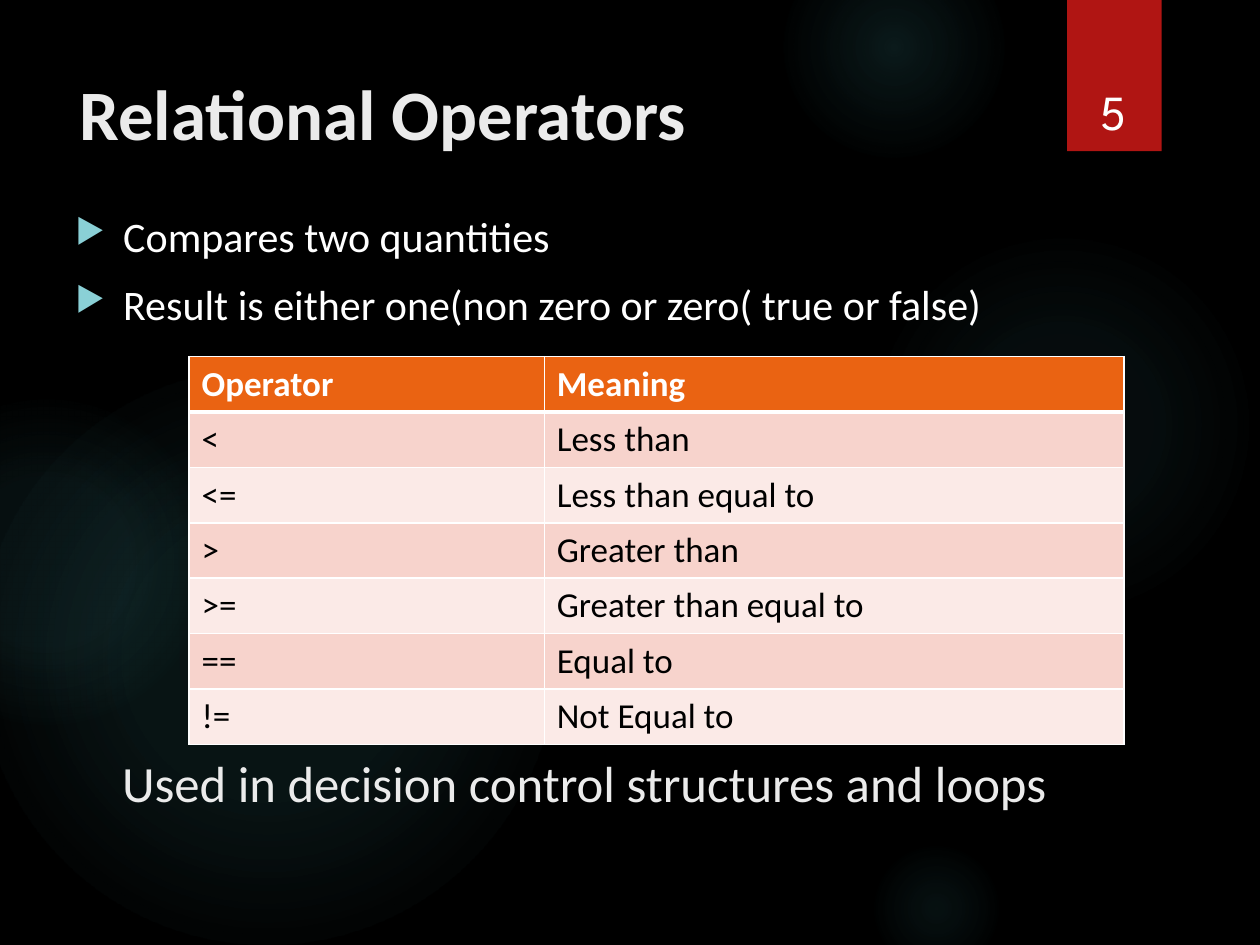
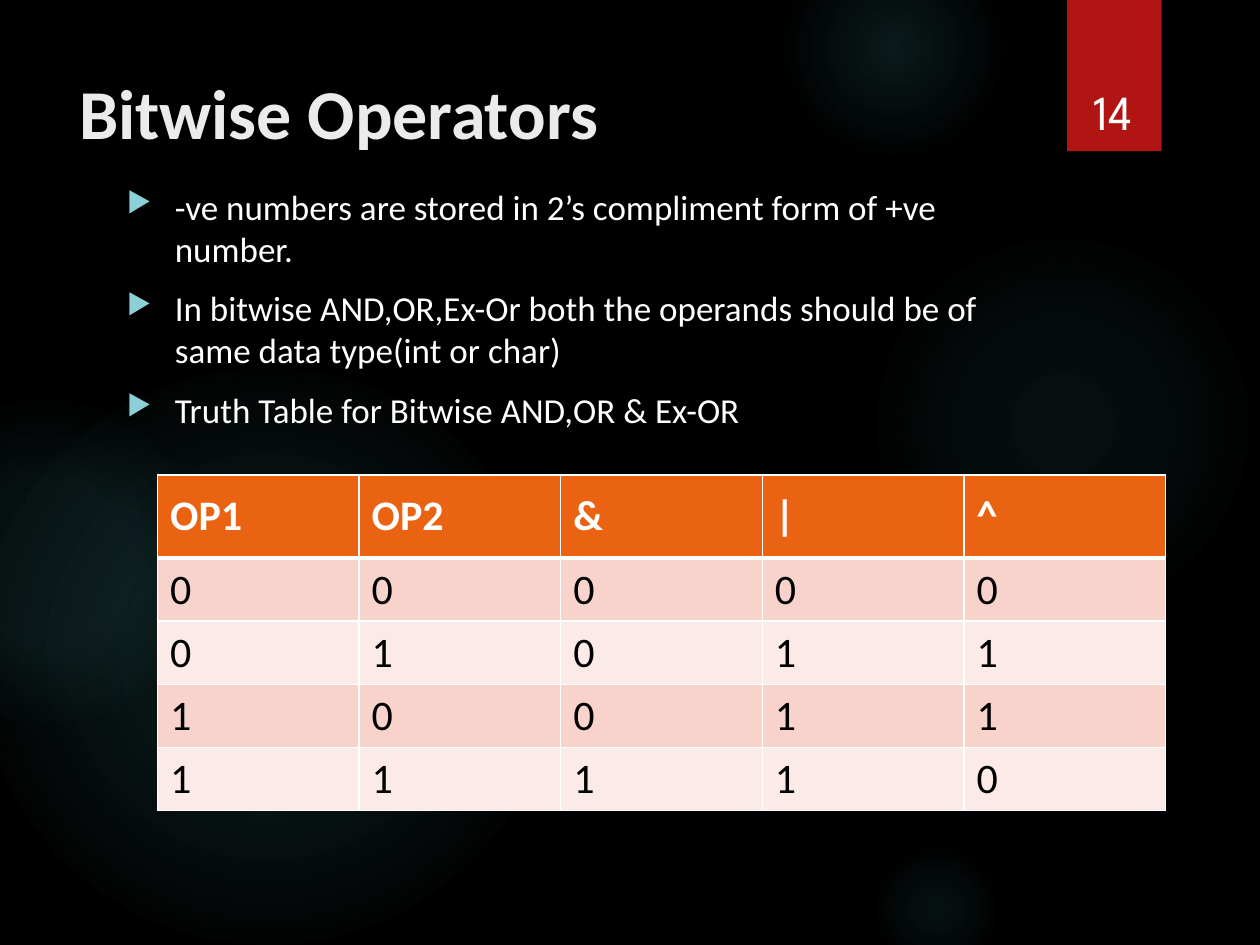
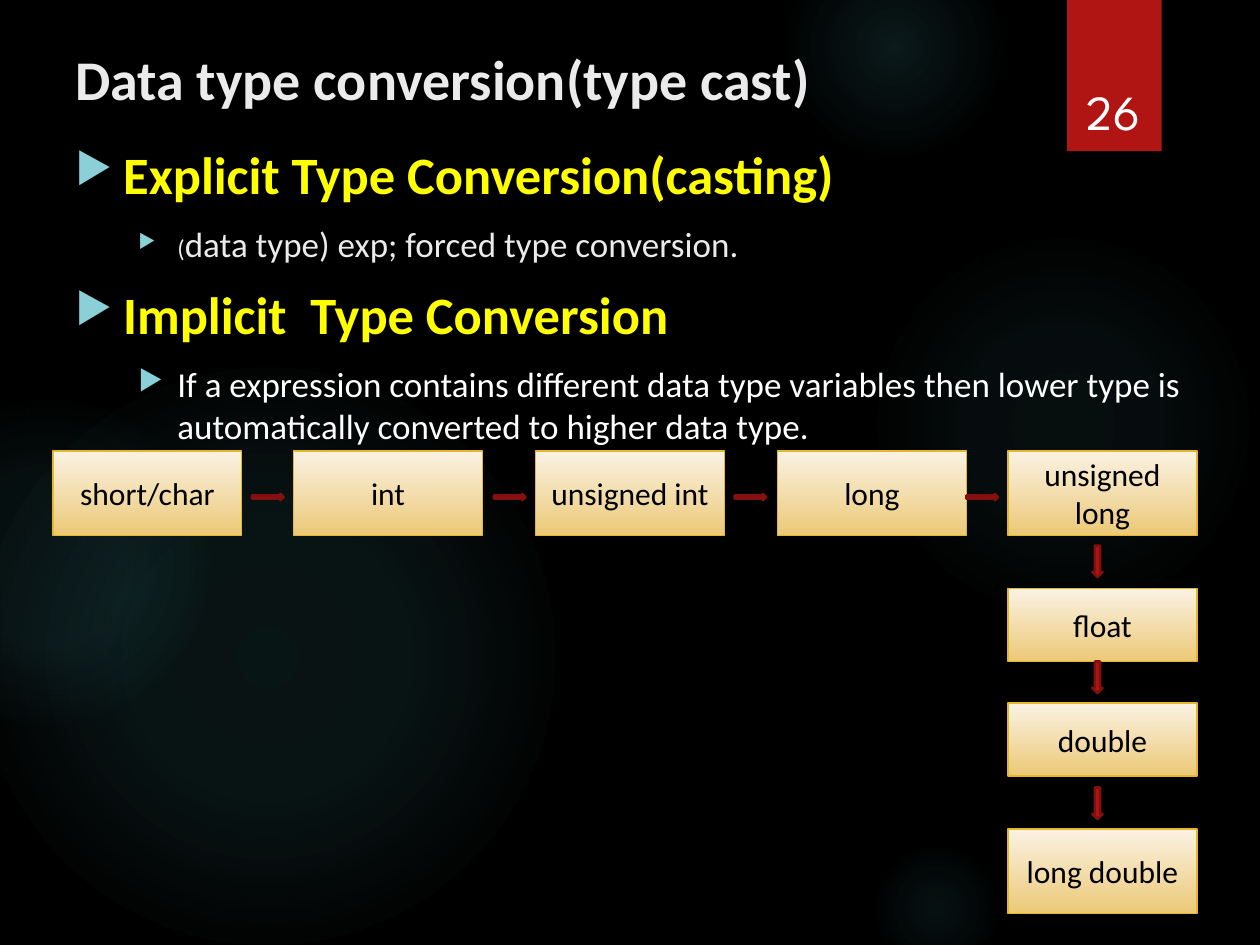
import pptx
import pptx.dml.color
import pptx.enum.shapes
import pptx.enum.text
import pptx.oxml
import pptx.oxml.ns
import pptx.util

EMU_PER_PX = 9144
FONT = "Calibri"
NUMBER_FONT = "League Spartan"
BLACK, WHITE, OFF_WHITE, YELLOW = "000000", "FFFFFF", "EBEBEB", "FFFF00"
RED, DARK_RED, ORANGE, TEAL, AQUA = "B01513", "82100E", "EA6312", "50B9C1", "8AD0D6"
ROW_BANDS = ("F7D3CC", "FBEAE7")
BOX_TOP, BOX_BOTTOM, BOX_EDGE = "FAF2E3", "ECC977", "E6B729"
LEVEL_INDENTS = ((38, -38), (81, -31))
GLOWS = (
    (689, 183, 308, ((0, 7), (36, 6), (69, 0))),
    (622, -50, 175, ((0, 14), (36, 7), (73, 0))),
    (689, 667, 108, ((0, 9), (36, 5), (66, 0))),
    (-17, 292, 458, ((0, 11), (36, 10), (75, 0))),
    (-92, 317, 258, ((0, 8), (36, 8), (72, 0))),
)
SHAPES = pptx.enum.shapes.MSO_SHAPE
ANCHOR = pptx.enum.text.MSO_ANCHOR
ALIGN = pptx.enum.text.PP_ALIGN


def px(length):
    return pptx.util.Emu(length * EMU_PER_PX)


def rgb(value):
    return pptx.dml.color.RGBColor.from_string(value)


def xml(tag, attributes="", children=""):
    namespace = pptx.oxml.ns.nsdecls("a")
    return pptx.oxml.parse_xml(f"<a:{tag} {namespace} {attributes}>{children}</a:{tag}>")


def style_run(run, size, color, bold=False, font=FONT):
    run.font.name = font
    run.font.size = pptx.util.Pt(size)
    run.font.bold = bold
    run.font.color.rgb = rgb(color)


def add_preset(slide, preset, left, top, width, height, fill=None, edge=None, weight=1):
    shape = slide.shapes.add_shape(preset, px(left), px(top), px(width), px(height))
    shape.shadow.inherit = False
    if fill:
        shape.fill.solid()
        shape.fill.fore_color.rgb = rgb(fill)
    if edge:
        shape.line.color.rgb = rgb(edge)
        shape.line.width = pptx.util.Pt(weight)
    else:
        shape.line.fill.background()
    return shape


def add_glow(slide, left, top, size, stops):
    glow = add_preset(slide, SHAPES.OVAL, left, top, size, size)
    glow.fill.background()
    stop_list = "".join(
        f'<a:gs pos="{place * 1000}"><a:srgbClr val="{TEAL}">'
        f'<a:alpha val="{opacity * 1000}"/></a:srgbClr></a:gs>'
        for place, opacity in stops
    )
    center = '<a:fillToRect l="50000" t="50000" r="50000" b="50000"/>'
    gradient = xml("gradFill", 'rotWithShape="1"',
                   f'<a:gsLst>{stop_list}</a:gsLst><a:path path="circle">{center}</a:path>')
    properties = glow._element.spPr
    properties.replace(properties.find(pptx.oxml.ns.qn("a:noFill")), gradient)


def add_frame(slide, left, top, width, height):
    frame = slide.shapes.add_textbox(px(left), px(top), px(width), px(height)).text_frame
    frame.word_wrap = True
    return frame


def add_text(slide, text, bounds, size, color, bold=False, font=FONT):
    frame = add_frame(slide, *bounds)
    frame.text = text
    style_run(frame.paragraphs[0].runs[0], size, color, bold, font)
    return frame


def add_bullets(slide, bounds, bullets):
    frame = add_frame(slide, *bounds)
    for index, (level, color, bold, pieces) in enumerate(bullets):
        paragraph = frame.add_paragraph() if index else frame.paragraphs[0]
        properties = paragraph._p.get_or_add_pPr()
        margin, indent = LEVEL_INDENTS[level]
        properties.set("marL", str(px(margin)))
        properties.set("indent", str(px(indent)))
        properties.append(xml("buClr", children=f'<a:srgbClr val="{AQUA}"/>'))
        properties.append(xml("buSzPct", 'val="80000"'))
        properties.append(xml("buChar", 'char="▶"'))
        paragraph.level = level
        if index:
            paragraph.space_before = pptx.util.Pt(10)
        paragraph.text = pieces[0][0]
        for text, _ in pieces[1:]:
            paragraph.add_run().text = text
        for run, (_, size) in zip(paragraph.runs, pieces):
            style_run(run, size, color, bold)


def set_borders(cell, top, bottom):
    properties = cell._tc.get_or_add_tcPr()
    for side, weight in (("L", 1), ("R", 1), ("T", top), ("B", bottom)):
        properties.append(xml(f"ln{side}", f'w="{pptx.util.Pt(weight)}"',
                              f'<a:solidFill><a:srgbClr val="{WHITE}"/></a:solidFill>'))


def add_grid(slide, left, top, columns, header_height, row_height, size, rows):
    height = header_height + row_height * (len(rows) - 1)
    table = slide.shapes.add_table(len(rows), len(columns), px(left), px(top),
                                   px(sum(columns)), px(height)).table
    for column, width in zip(table.columns, columns):
        column.width = px(width)
    for index, values in enumerate(rows):
        is_header = index == 0
        table.rows[index].height = px(header_height if is_header else row_height)
        for cell, value in zip(table.rows[index].cells, values):
            set_borders(cell, 3 if index == 1 else 1, 3 if is_header else 1)
            cell.fill.solid()
            cell.fill.fore_color.rgb = rgb(ORANGE if is_header else ROW_BANDS[(index - 1) % 2])
            cell.vertical_anchor = ANCHOR.MIDDLE
            cell.text = value
            style_run(cell.text_frame.paragraphs[0].runs[0], size,
                      WHITE if is_header else BLACK, is_header)


def add_type_box(slide, name, left, top, height):
    box = add_preset(slide, SHAPES.RECTANGLE, left, top, 150, height, edge=BOX_EDGE, weight=0.75)
    box.fill.gradient()
    box.fill.gradient_angle = 270
    for stop, color in zip(box.fill.gradient_stops, (BOX_TOP, BOX_BOTTOM)):
        stop.color.rgb = rgb(color)
    box.text_frame.text = name
    paragraph = box.text_frame.paragraphs[0]
    paragraph.alignment = ALIGN.CENTER
    style_run(paragraph.runs[0], 18, BLACK)


def add_base_slide(deck, number, title, bounds, title_size):
    slide = deck.slides.add_slide(deck.slide_layouts[6])
    for glow in GLOWS:
        add_glow(slide, *glow)
    add_preset(slide, SHAPES.RECTANGLE, 847, 0, 75, 120, RED)
    add_text(slide, title, bounds, title_size, OFF_WHITE, True)
    page = add_text(slide, str(number), (849, 32, 69, 84), 28, WHITE, font=NUMBER_FONT)
    page.vertical_anchor = ANCHOR.BOTTOM
    page.paragraphs[0].alignment = ALIGN.CENTER
    return slide


def plain_bullets(size, *texts):
    return [(0, WHITE, False, [(text, size)]) for text in texts]


def add_relational(deck):
    slide = add_base_slide(deck, 5, "Relational Operators", (53, 50, 772, 153), 40.5)
    add_bullets(slide, (50, 162, 900, 121), plain_bullets(
        24,
        "Compares two quantities",
        "Result is either one(non zero or zero( true or false)",
    ))
    add_grid(slide, 150, 283, (282, 460), 44, 44, 20, (
        ("Operator", "Meaning"),
        ("<", "Less than"),
        ("<=", "Less than equal to"),
        (">", "Greater than"),
        (">=", "Greater than equal to"),
        ("==", "Equal to"),
        ("!=", "Not Equal to"),
    ))
    add_text(slide, "Used in decision control structures and loops",
             (87, 592, 888, 67), 29, OFF_WHITE)


def add_bitwise(deck):
    slide = add_base_slide(deck, 14, "Bitwise Operators", (53, 50, 772, 109), 40)
    add_bullets(slide, (91, 142, 734, 542), plain_bullets(
        20,
        "-ve numbers are stored in 2’s compliment form of +ve number.",
        "In bitwise AND,OR,Ex-Or both the operands should be of same data type(int or char)",
        "Truth Table for Bitwise AND,OR & Ex-OR",
    ))
    add_grid(slide, 125, 377, (160,) * 5, 66, 50, 24,
             (("OP1", "OP2", "&", "|", "^"), "00000", "01011", "10011", "11110"))


def add_conversion(deck):
    slide = add_base_slide(deck, 26, "Data type conversion(type cast)", (50, 30, 900, 95), 32)
    add_bullets(slide, (50, 108, 900, 549), (
        (0, YELLOW, True, [("Explicit Type Conversion(casting)", 30)]),
        (1, OFF_WHITE, False, [("(", 14), ("data type) exp; forced type conversion.", 20)]),
        (0, YELLOW, True, [("Implicit  Type Conversion", 30)]),
        (1, WHITE, False, [("If a expression contains different data type variables then "
                            "lower type is automatically converted to higher data type.", 20)]),
    ))
    for name, left in (("short/char", 42), ("int", 233), ("unsigned int", 425),
                       ("long", 617), ("unsigned long", 800)):
        add_type_box(slide, name, left, 358, 67)
    for name, top, height in (("float", 467, 58), ("double", 558, 58), ("long double", 658, 67)):
        add_type_box(slide, name, 800, top, height)
    for left in (200, 392, 583, 767):
        add_preset(slide, SHAPES.RIGHT_ARROW, left, 392, 25, 5, RED, DARK_RED, 1.5)
    for top in (433, 525, 625):
        add_preset(slide, SHAPES.DOWN_ARROW, 867, top, 8, 25, RED, DARK_RED, 1.5)


def main():
    deck = pptx.Presentation()
    deck.slide_width, deck.slide_height = px(1000), px(750)
    background = deck.slide_master.background.fill
    background.solid()
    background.fore_color.rgb = rgb(BLACK)
    add_relational(deck)
    add_bitwise(deck)
    add_conversion(deck)
    deck.save("out.pptx")


if __name__ == "__main__":
    main()
